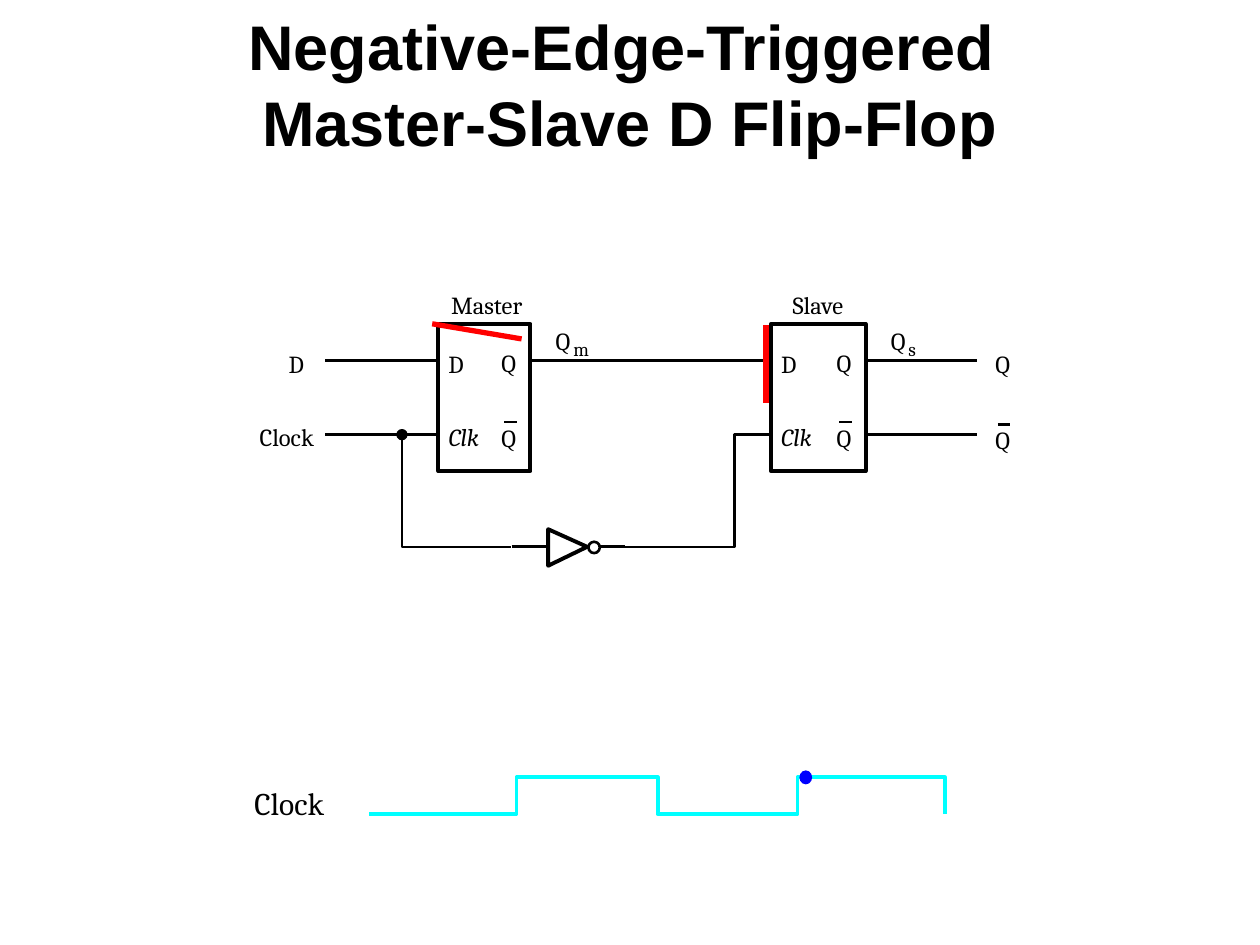
from typing import NamedTuple

from lxml.etree import SubElement
from pptx import Presentation
from pptx.dml.color import RGBColor
from pptx.enum.shapes import MSO_CONNECTOR as Connector, MSO_SHAPE as Preset
from pptx.enum.text import MSO_ANCHOR as Anchor, MSO_AUTO_SIZE as AutoSize, PP_ALIGN as Align
from pptx.oxml.ns import qn
from pptx.util import Inches, Pt

COLORS = {"ink": "000000", "paper": "FFFFFF", "switch": "FF0000", "signal": "00FFFF", "marker": "0000FF"}
Point = tuple[float, float]
D_ROW, CLK_ROW, INVERTER_ROW = 2.86, 3.45, 4.34
LATCH_TOP, LATCH_HEIGHT = 2.57, 1.17


class Latch(NamedTuple):
    title: str
    title_left: float
    left: float
    width: float
    q_left: float
    subscript: str


class Label(NamedTuple):
    text: str
    left: float
    top: float
    width: float = 0.27
    size: float = 14
    italic: bool = False


class Wire(NamedTuple):
    start: Point
    end: Point
    weight: float = 1.5
    color: str = "ink"


MASTER = Latch("Master", 3.58, 3.48, 0.73, 3.98, "m")
SLAVE = Latch("Slave", 6.29, 6.12, 0.75, 6.64, "s")


def rgb(name: str) -> RGBColor:
    return RGBColor.from_string(COLORS[name])


def write(frame, text: str, *, size: float, font: str = "Cambria", bold: bool = False,
          italic: bool = False, align: Align = Align.LEFT, inset: float = 0) -> None:
    frame.margin_left = frame.margin_right = Inches(inset)
    frame.margin_top = frame.margin_bottom = Inches(inset / 2)
    frame.text = text
    for paragraph in frame.paragraphs:
        paragraph.alignment = align
        for run in paragraph.runs:
            run.font.name, run.font.size = font, Pt(size)
            run.font.bold, run.font.italic = bold, italic
            run.font.color.rgb = rgb("ink")


def draw_label(shapes, label: Label, inset: float = 0) -> None:
    height = label.size * 1.3 / 72 + inset
    box = shapes.add_textbox(*map(Inches, (label.left, label.top, label.width, height)))
    write(box.text_frame, label.text, size=label.size, italic=label.italic, inset=inset)
    box.text_frame.word_wrap = False
    box.text_frame.auto_size = AutoSize.SHAPE_TO_FIT_TEXT


def draw_wire(shapes, wire: Wire) -> None:
    line = shapes.add_connector(Connector.STRAIGHT, *map(Inches, (*wire.start, *wire.end)))
    line.line.color.rgb, line.line.width = rgb(wire.color), Pt(wire.weight)
    SubElement(line._element.spPr, qn("a:effectLst"))


def style(shape, fill: str | None, outline: str, weight: float) -> None:
    shape.shadow.inherit = False
    if fill:
        shape.fill.solid()
        shape.fill.fore_color.rgb = rgb(fill)
    else:
        shape.fill.background()
    shape.line.color.rgb, shape.line.width = rgb(outline), Pt(weight)


def draw_path(shapes, points: list[Point], weight: float, color: str = "ink",
              fill: str | None = None) -> None:
    start, *rest = [(Inches(x), Inches(y)) for x, y in points]
    builder = shapes.build_freeform(*start)
    builder.add_line_segments(rest, close=fill is not None)
    style(builder.convert_to_shape(), fill, color, weight)


def draw_preset(shapes, preset: Preset, left: float, top: float, width: float, height: float,
                fill: str, outline: str, weight: float) -> None:
    shape = shapes.add_shape(preset, *map(Inches, (left, top, width, height)))
    style(shape, fill, outline, weight)


def draw_latch(shapes, latch: Latch) -> None:
    draw_preset(shapes, Preset.RECTANGLE, latch.left, LATCH_TOP, latch.width, LATCH_HEIGHT,
                "paper", "ink", 2.25)
    port_left = latch.left + 0.08
    output_left = latch.left + latch.width + 0.2
    for label in (
        Label(latch.title, latch.title_left, 2.3, 0.6),
        Label("D", port_left, 2.77),
        Label("Clk", port_left, 3.35, 0.32, italic=True),
        Label("Q", latch.q_left, 2.76),
        Label("Q", latch.q_left, 3.36),
        Label("Q", output_left, 2.59),
        Label(latch.subscript, output_left + 0.14, 2.68, 0.2, 11),
    ):
        draw_label(shapes, label)
    draw_overline(shapes, latch.q_left, 3.35)


def draw_overline(shapes, q_left: float, top: float) -> None:
    draw_wire(shapes, Wire((q_left + 0.02, top), (q_left + 0.12, top), 1.38))


def draw_circuit(shapes) -> None:
    draw_path(shapes, [(6.12, CLK_ROW), (5.83, CLK_ROW), (5.83, INVERTER_ROW), (4.96, INVERTER_ROW)], 1.5)
    draw_path(shapes, [(2.58, CLK_ROW), (3.19, CLK_ROW), (3.19, INVERTER_ROW), (4.06, INVERTER_ROW)], 1.5)
    for wire in (
        Wire((3.19, CLK_ROW), (3.48, CLK_ROW), 1.38),
        Wire((2.58, D_ROW), (3.48, D_ROW)),
        Wire((4.21, D_ROW), (6.12, D_ROW)),
        Wire((6.87, D_ROW), (7.75, D_ROW)),
        Wire((6.87, CLK_ROW), (7.75, CLK_ROW)),
        Wire((4.06, INVERTER_ROW), (4.35, INVERTER_ROW)),
        Wire((4.73, INVERTER_ROW), (4.96, INVERTER_ROW)),
    ):
        draw_wire(shapes, wire)
    draw_path(shapes, [(4.66, INVERTER_ROW), (4.35, 4.49), (4.35, 4.2)], 2.25, fill="paper")
    draw_preset(shapes, Preset.OVAL, 4.67, 4.3, 0.09, 0.09, "paper", "ink", 1.5)
    for latch in (MASTER, SLAVE):
        draw_latch(shapes, latch)
    for label in (Label("D", 2.29, 2.77), Label("Clock", 2.06, 3.35, 0.59),
                  Label("Q", 7.9, 2.77), Label("Q", 7.9, 3.37)):
        draw_label(shapes, label)
    draw_overline(shapes, 7.9, 3.37)
    draw_preset(shapes, Preset.OVAL, 3.15, 3.41, 0.08, 0.08, "ink", "ink", 0.75)
    draw_wire(shapes, Wire((3.43, 2.57), (4.14, 2.69), 3, "switch"))
    draw_wire(shapes, Wire((6.08, 2.58), (6.08, 3.2), 3, "switch"))


def draw_waveform(shapes) -> None:
    low, high = 6.46, 6.17
    edges = [4.1, 5.22, 6.33, 7.5]
    waveform = [(2.93, low)]
    for index, edge in enumerate(edges):
        before, after = (low, high) if index % 2 == 0 else (high, low)
        waveform += [(edge, before), (edge, after)]
    draw_path(shapes, waveform, 2.25, "signal")
    draw_label(shapes, Label("Clock", 1.92, 6.17, 0.81, 18), inset=0.1)
    draw_preset(shapes, Preset.OVAL, 6.35, 6.12, 0.09, 0.1, "marker", "marker", 0.75)


def main() -> None:
    """Build the slide on the master-slave D flip-flop."""
    deck = Presentation()
    deck.slide_width, deck.slide_height = Inches(10), Inches(7.5)
    slide = deck.slides.add_slide(deck.slide_layouts[5])
    title = slide.shapes.title
    title.left, title.top, title.width, title.height = map(Inches, (0, 0, 10, 1.32))
    write(title.text_frame, "Negative-Edge-Triggered \nMaster-Slave D Flip-Flop", size=36,
          font="Arial", bold=True, align=Align.CENTER, inset=0.1)
    title.text_frame.vertical_anchor = Anchor.MIDDLE
    title.text_frame.auto_size = AutoSize.NONE
    draw_circuit(slide.shapes)
    draw_waveform(slide.shapes)
    deck.save("out.pptx")


if __name__ == "__main__":
    main()
